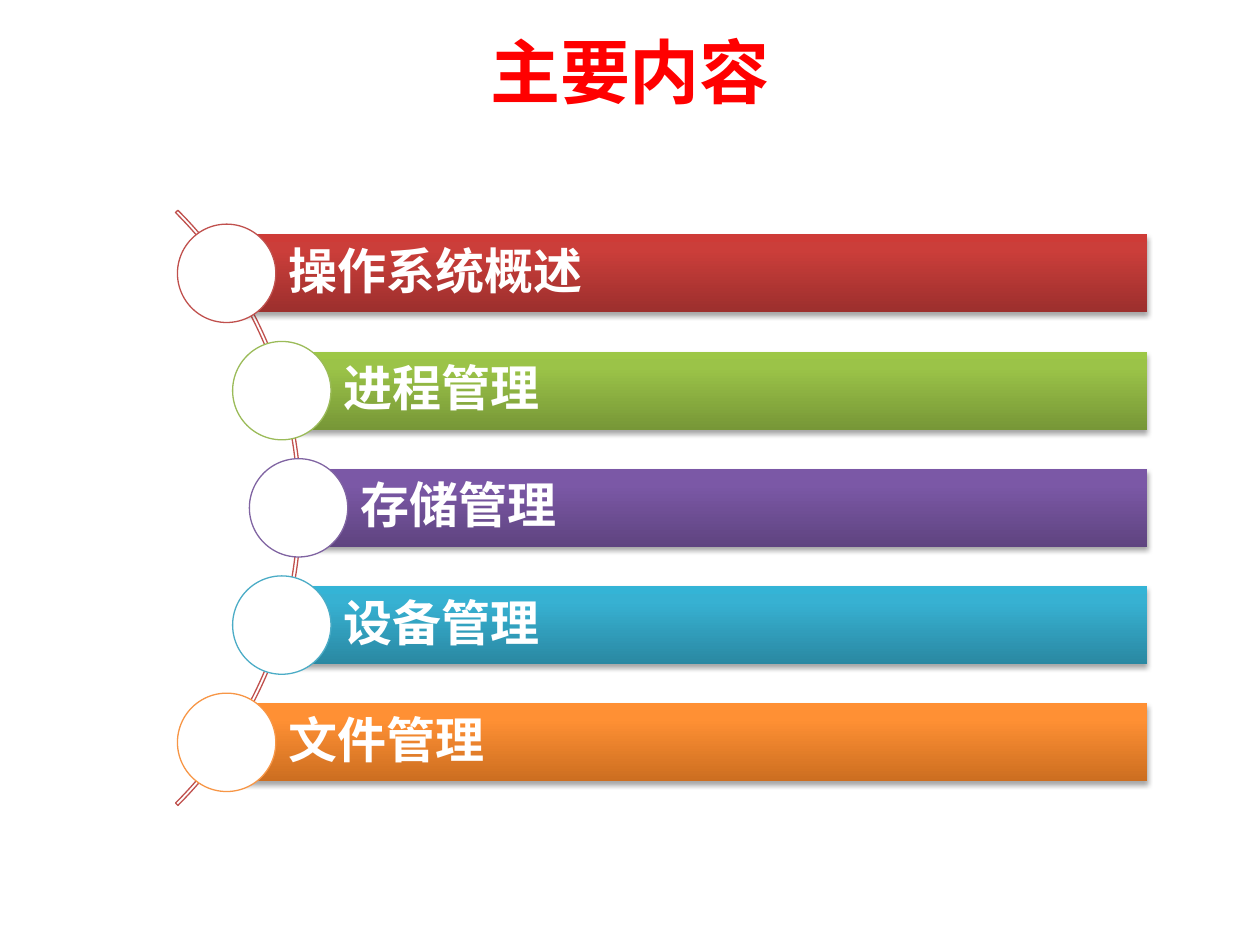
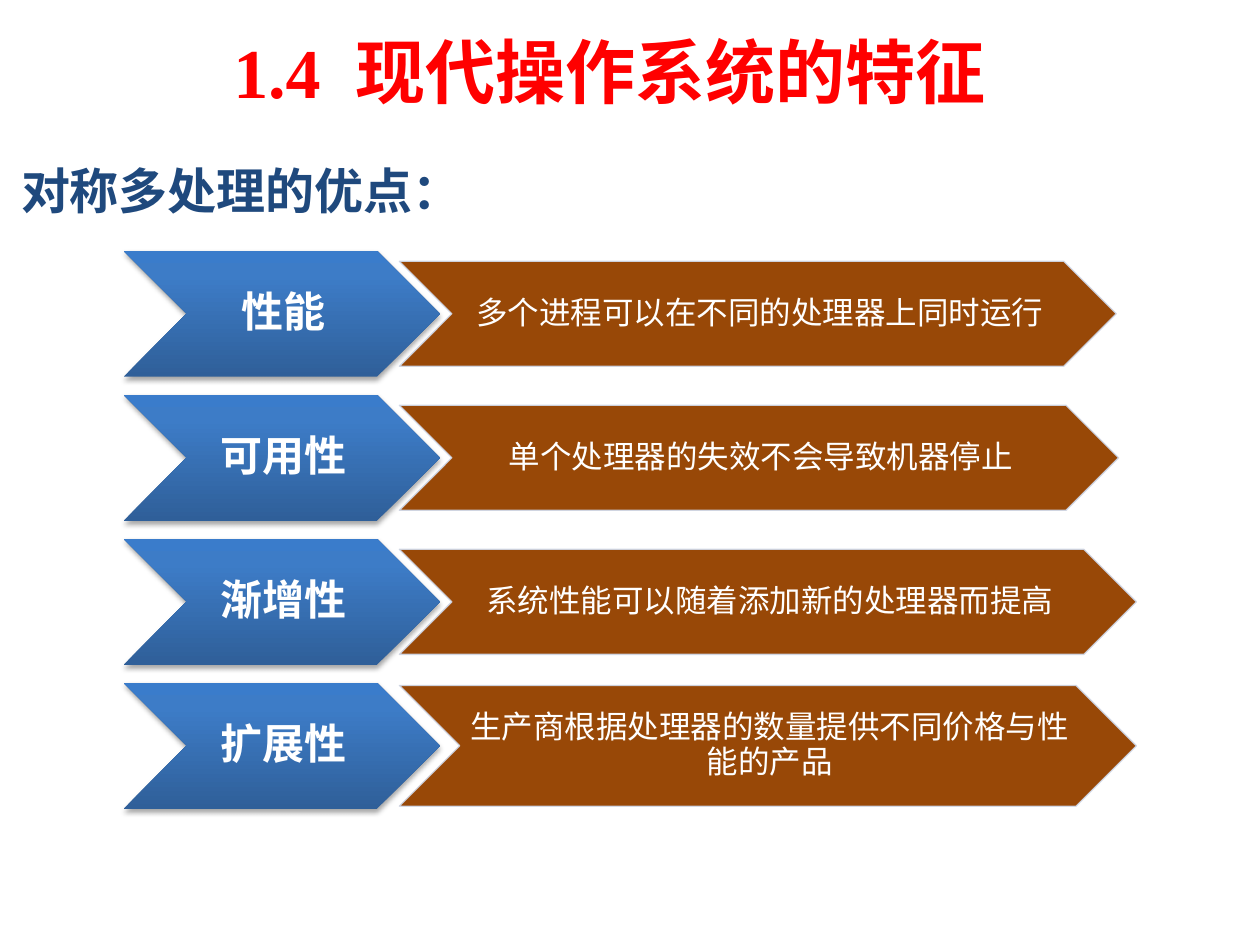
from copy import deepcopy
from math import sqrt

from lxml.etree import SubElement
from pptx import Presentation
from pptx.dml.color import RGBColor
from pptx.enum.shapes import MSO_SHAPE as Shape
from pptx.enum.text import MSO_ANCHOR as Anchor, MSO_AUTO_SIZE as Fit, PP_ALIGN as Align
from pptx.oxml.ns import qn
from pptx.util import Pt

WHITE, RED, NAVY, BROWN, PALE = "FFFFFF", "FF0000", "1F497D", "984807", "D0D8E8"
BLUES = ("2F5F99", "3D7CC7", "3A7CCB")
HEAD = dict(name="Times New Roman", size=Pt(40), bold=True)
SUB = dict(HEAD, size=Pt(28))
TOPIC = dict(name="Calibri", size=Pt(28), bold=True)
LABEL = dict(TOPIC, size=Pt(24))
DETAIL = dict(name="Calibri", size=Pt(18), bold=False)

# topic, outline of its circle, bar shades from bottom to top
TOPICS = [
    ("操作系统概述", "C0504D", ("9C2F2D", "CB3E3A", "CE3B37")),
    ("进程管理", "9BBB59", ("779737", "9BC348", "9DC746")),
    ("存储管理", "8064A2", ("5F4480", "7B58A6", "7C57A8")),
    ("设备管理", "4BACC6", ("2A88A2", "37B1D2", "34B4D6")),
    ("文件管理", "F79646", ("CC6E20", "FF9034", "FF9136")),
]
# benefit, its detail, width and height of the detail arrow
BENEFITS = [
    ("性能", "多个进程可以在不同的处理器上同时运行", 409.7, 60),
    ("可用性", "单个处理器的失效不会导致机器停止", 411, 60),
    ("渐增性", "系统性能可以随着添加新的处理器而提高", 421.2, 60),
    ("扩展性", "生产商根据处理器的数量提供不同价格与性能的产品", 421.2, 69),
]


def color(code):
    return RGBColor.from_string(code)


def apply(target, values):
    for key, value in values.items():
        setattr(target, key, value)


def write(shape, runs, font, ink, align=Align.LEFT, pad=(7.2, 3.6, 7.2, 3.6), lead=1.0):
    """Fill a shape with one paragraph; pad is left, top, right, bottom."""
    frame = shape.text_frame
    sides = ("margin_left", "margin_top", "margin_right", "margin_bottom")
    apply(frame, dict(zip(sides, map(Pt, pad)), word_wrap=True,
                      auto_size=Fit.NONE, vertical_anchor=Anchor.MIDDLE))
    para = frame.paragraphs[0]
    apply(para, dict(alignment=align, line_spacing=lead))
    for text in runs:
        run = para.add_run()
        run.text = text
        apply(run.font, font)
        run.font.color.rgb = color(ink)
    return para


def draw(slide, kind, box, fill=None, line=None):
    shape = slide.shapes.add_shape(kind, *map(Pt, box))
    shape.shadow.inherit = False
    if fill:
        shape.fill.solid()
        shape.fill.fore_color.rgb = color(fill)
    else:
        shape.fill.background()
    if line:
        shape.line.color.rgb = color(line)
        shape.line.width = Pt(0.75)
    else:
        shape.line.fill.background()
    return shape


def glossy(slide, kind, box, shades):
    """Draw a shape with an upward gradient and a soft shadow."""
    shape = draw(slide, kind, box)
    fill, props = shape.fill, shape._element.spPr
    fill.gradient()
    fill.gradient_angle = 90
    stops = props.find(".//" + qn("a:gsLst"))
    stops.append(deepcopy(stops[0]))
    for stop, place, shade in zip(fill.gradient_stops, (0, 0.8, 1), shades):
        stop.position = place
        stop.color.rgb = color(shade)
    shade = SubElement(props.find(qn("a:effectLst")), qn("a:outerShdw"),
                       blurRad=str(Pt(3.1)), dist=str(Pt(1.8)), dir="5400000", rotWithShape="0")
    alpha(SubElement(shade, qn("a:srgbClr"), val="000000"), 35)
    return shape


def alpha(node, percent):
    SubElement(node, qn("a:alpha"), val=str(percent * 1000))


def title(slide, box, runs):
    head = slide.shapes.title
    apply(head, dict(zip(("left", "top", "width", "height"), map(Pt, box))))
    return write(head, runs, HEAD, RED, Align.CENTER)


def agenda(slide, right, mid, pitch=67, bar=44.6, disc=56.2):
    """Place topic bars whose left ends follow an arc centred at height mid."""
    hub, size, reach = -68.4, 481, 239
    arc = draw(slide, Shape.BLOCK_ARC, (hub - size / 2, mid - size / 2, size, size),
               line=TOPICS[0][1])
    for i, value in enumerate((189, 27, 0.004)):
        arc.adjustments[i] = value
    for i, (name, edge, shades) in enumerate(TOPICS):
        rise = (i - (len(TOPICS) - 1) / 2) * pitch
        x, y = hub + sqrt(reach ** 2 - rise ** 2), mid + rise
        band = glossy(slide, Shape.RECTANGLE, (x, y - bar / 2, right - x, bar), shades)
        write(band, [name], TOPIC, WHITE, pad=(35.4, 5.8, 5.8, 5.8), lead=0.9)
        draw(slide, Shape.OVAL, (x - disc / 2, y - disc / 2, disc, disc), WHITE, edge)


def benefits(slide, left, top, pitch=82.3, wide=180.7, tall=72):
    for i, (name, text, width, height) in enumerate(BENEFITS):
        y = top + i * pitch
        tag = glossy(slide, Shape.CHEVRON, (left, y, wide, tall), BLUES)
        write(tag, [name], LABEL, WHITE, Align.CENTER, (2, 1, 0, 1), 0.9)
        note = draw(slide, Shape.CHEVRON,
                    (left + 157.6, y + (tall - height) / 2, width, height), BROWN, PALE)
        alpha(note.line._ln.find(".//" + qn("a:srgbClr")), 90)
        write(note, [text], DETAIL, WHITE, Align.CENTER, (2, 1, 0, 1), 0.9)


def main():
    deck = Presentation()
    apply(deck, dict(slide_width=Pt(720), slide_height=Pt(540)))
    layout = deck.slide_layouts[5]

    first = deck.slides.add_slide(layout)
    title(first, (36, 3.6, 648, 73.4), ["主要内容"])
    agenda(first, 655.4, 290.2)

    second = deck.slides.add_slide(layout)
    para = title(second, (66.2, 18, 563.8, 44.6), ["1.4", " ", "现代操作系统的特征"])
    para.runs[1].font._element.set("spc", "1000")  # widens the gap after the number
    lead = second.shapes.add_textbox(*map(Pt, (5, 66.2, 616.3, 84.2)))
    write(lead, ["对称多处理的优点："], SUB, NAVY)
    benefits(second, 70.6, 143.3)

    deck.save("out.pptx")


if __name__ == "__main__":
    main()
